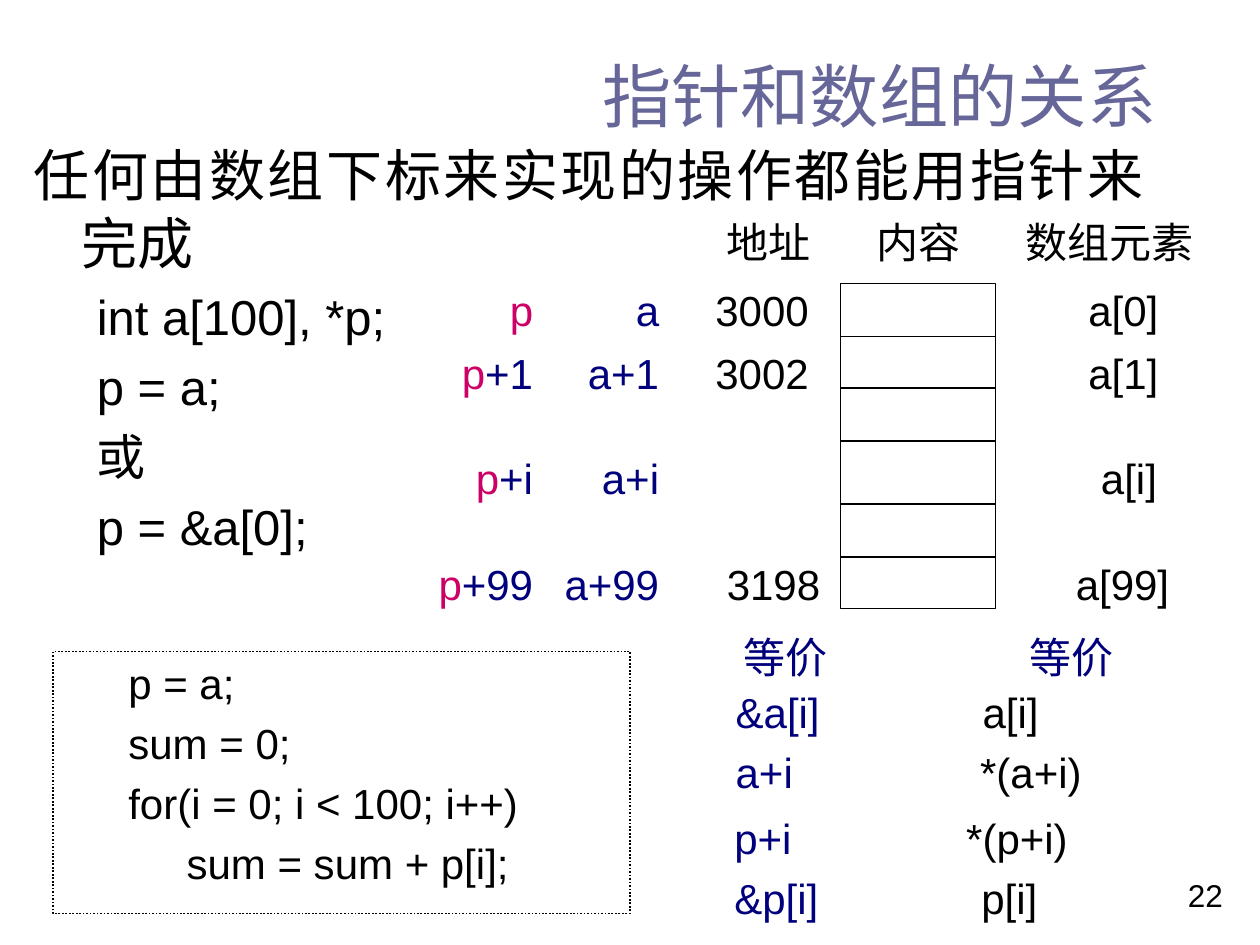
from lxml import etree
from pptx import Presentation
from pptx.dml.color import RGBColor
from pptx.enum.dml import MSO_LINE
from pptx.enum.shapes import MSO_CONNECTOR, MSO_SHAPE
from pptx.enum.text import MSO_ANCHOR, PP_ALIGN
from pptx.oxml.ns import qn
from pptx.util import Inches, Pt

BLACK = RGBColor(0x00, 0x00, 0x00)
NAVY = RGBColor(0x00, 0x00, 0x7D)
PINK = RGBColor(0xCC, 0x00, 0x66)
SLATE = RGBColor(0x66, 0x66, 0x99)

LEFT, RIGHT, JUSTIFY = PP_ALIGN.LEFT, PP_ALIGN.RIGHT, PP_ALIGN.JUSTIFY
TOP, MIDDLE = MSO_ANCHOR.TOP, MSO_ANCHOR.MIDDLE
RECTANGLE, STRAIGHT = MSO_SHAPE.RECTANGLE, MSO_CONNECTOR.STRAIGHT
DOTTED = MSO_LINE.ROUND_DOT

ROW_H = 0.42
ROW_TOPS = {"0": 2.25, "1": 2.75, "i": 3.58, "99": 4.42}
GAP = 0.23  # space before a paragraph, as a share of its text size


def set_indent(p, margin, first):
    pPr = p._p.get_or_add_pPr()
    pPr.set("marL", str(Inches(margin)))
    pPr.set("indent", str(Inches(first)))


def set_tabs(p, stops):
    """Add left tab stops, in inches from the text edge."""
    tab_list = etree.SubElement(p._p.get_or_add_pPr(), qn("a:tabLst"))
    for stop in stops:
        etree.SubElement(tab_list, qn("a:tab"), pos=str(Inches(stop)), algn="l")


def write(sp, paragraphs, size=24, color=BLACK, font="Arial", align=LEFT,
          anchor=TOP, wrap=True, indents=(), tabs=(), line_spacing=None):
    """Fill a shape; a paragraph is a string or a list of (text, color) runs."""
    tf = sp.text_frame
    tf.word_wrap = wrap
    tf.vertical_anchor = anchor
    sizes = size if isinstance(size, list) else [size] * len(paragraphs)
    for i, (runs, pt) in enumerate(zip(paragraphs, sizes)):
        p = tf.add_paragraph() if i else tf.paragraphs[0]
        p.alignment = align if i == 0 else LEFT
        if i:
            p.space_before = Pt(round(pt * GAP, 1))
        if line_spacing:
            p.line_spacing = line_spacing
        if indents:
            set_indent(p, *indents[i])
        if tabs:
            set_tabs(p, tabs[i])
        for text, run_color in [(runs, color)] if isinstance(runs, str) else runs:
            r = p.add_run()
            r.text = text
            r.font.size = Pt(pt)
            r.font.name = font
            r.font.color.rgb = run_color


def add_text(s, x, y, w, h, paragraphs, **fmt):
    write(s.shapes.add_textbox(Inches(x), Inches(y), Inches(w), Inches(h)),
          paragraphs, **fmt)


def add_box(s, x, y, w, h, width):
    sp = s.shapes.add_shape(RECTANGLE, Inches(x), Inches(y), Inches(w), Inches(h))
    sp.shadow.inherit = False
    sp.fill.background()
    sp.line.color.rgb = BLACK
    sp.line.width = Pt(width)
    return sp


def add_divider(s, x1, x2, y):
    line = s.shapes.add_connector(STRAIGHT, Inches(x1), Inches(y),
                                  Inches(x2), Inches(y))
    line.line.color.rgb = BLACK
    line.line.width = Pt(0.75)
    etree.SubElement(line._element.spPr, qn("a:effectLst"))


def add_expressions(s, x, name, color):
    """Right-aligned column of name, name+1, name+i and name+99."""
    for index, y in ROW_TOPS.items():
        runs = [(name, color)]
        if index != "0":
            runs.append(("+" + index, NAVY))
        add_text(s, x, y, 1, ROW_H, [runs], align=RIGHT, anchor=MIDDLE, wrap=False)


def add_memory(s):
    add_box(s, 6.67, 2.25, 1.23, 2.58, 0.75)
    for y in (2.67, 3.08, 3.5, 4, 4.42):
        add_divider(s, 6.67, 7.9, y)
    add_text(s, 5.67, 1.67, 4.08, 0.5, ["地址\t内容\t数组元素"],
             font="Times New Roman", anchor=MIDDLE, tabs=[(1.19, 2.37)])
    rows = [("0", 5.58, "3000", 2.96), ("1", 5.58, "3002", 2.96),
            ("i", 5.58, "", 3.06), ("99", 5.67, "3198", 2.77)]
    for index, x, address, stop in rows:
        add_text(s, x, ROW_TOPS[index], 3.83, ROW_H, [f"{address}\ta[{index}]"],
                 anchor=MIDDLE, tabs=[(stop,)])


def add_equivalents(s):
    for x in (5.8, 8.07):
        add_text(s, x, 5.01, 0.87, 0.46, ["等价"], color=NAVY, align=JUSTIFY,
                 wrap=False, line_spacing=0.9)
    blocks = [
        (5.74, 5.4, 3.59, 1.25, [("&a[i]", "a[i]", 1.96), ("a+i", "*(a+i)", 1.94)]),
        (5.73, 6.4, 3.43, 1.02, [("p+i", "*(p+i)", 1.84), ("&p[i]", "p[i]", 1.96)]),
    ]
    for x, y, w, h, pairs in blocks:
        add_text(s, x, y, w, h,
                 [[(address + "\t", NAVY), (value, BLACK)]
                  for address, value, _ in pairs],
                 tabs=[(stop,) for _, _, stop in pairs])


def add_code(s):
    sp = add_box(s, 0.42, 5.17, 4.58, 2.08, 1)
    sp.line.dash_style = DOTTED
    code = ["p = a;", "sum = 0;", "for(i = 0; i < 100; i++)",
            "     sum = sum + p[i];"]
    write(sp, code, indents=[(0.81, -0.31)] * len(code))


def main():
    prs = Presentation()
    prs.slide_width, prs.slide_height = Inches(10), Inches(7.5)
    s = prs.slides.add_slide(prs.slide_layouts[6])

    add_text(s, 9.33, 6.9, 0.55, 0.4, ["22"], size=18)
    add_text(s, 4.68, 0.36, 5.32, 0.79, ["指针和数组的关系"],
             size=39.6, color=SLATE, anchor=MIDDLE)
    add_text(s, 0.17, 1.07, 9.01, 3.86,
             ["任何由数组下标来实现的操作都能用指针来完成",
              "int a[100], *p;", "p = a;", "或", "p = &a[0];"],
             size=[32] + [28] * 4, align=JUSTIFY,
             indents=[(0.38, -0.38)] + [(0.81, -0.31)] * 4)
    add_expressions(s, 3.33, "p", PINK)
    add_memory(s)
    add_expressions(s, 4.33, "a", NAVY)
    add_equivalents(s)
    add_code(s)
    prs.save("out.pptx")


if __name__ == "__main__":
    main()
